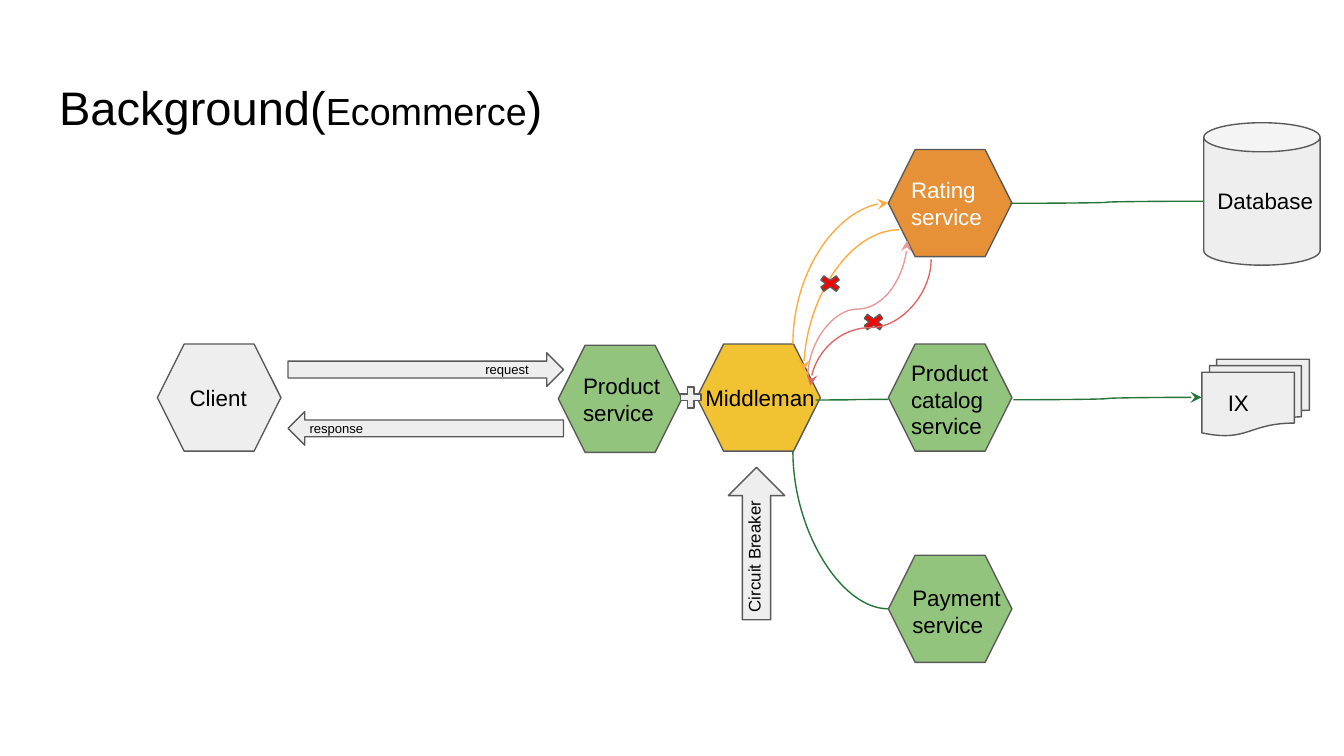
from lxml import etree
from pptx import Presentation
from pptx.dml.color import RGBColor
from pptx.enum.shapes import MSO_CONNECTOR, MSO_SHAPE
from pptx.enum.text import MSO_ANCHOR, MSO_AUTO_SIZE, PP_ALIGN
from pptx.oxml.ns import qn
from pptx.util import Pt

HEXAGON, CAN = MSO_SHAPE.HEXAGON, MSO_SHAPE.CAN
DOCUMENTS = MSO_SHAPE.FLOWCHART_MULTIDOCUMENT
RIGHT, LEFT, UP = MSO_SHAPE.RIGHT_ARROW, MSO_SHAPE.LEFT_ARROW, MSO_SHAPE.UP_ARROW
CROSS, PLUS = MSO_SHAPE.MATH_MULTIPLY, MSO_SHAPE.MATH_PLUS
CURVE = MSO_CONNECTOR.CURVE
TOP, MIDDLE = MSO_ANCHOR.TOP, MSO_ANCHOR.MIDDLE

# Content and palette
BLACK, WHITE, GRAY, OUTLINE = "000000", "FFFFFF", "EEEEEE", "595959"
GREEN, YELLOW, ORANGE, RED = "93C47D", "F1C232", "E69138", "FF0000"
LINK, RETRY, FAILED_CALL, FAILED_REPLY = "267438", "FFAB40", "EA9999", "E06666"
INSET = 7.2
HEX_SIZE = (66.2, 57.4)
ARROW_SIZE = (147.6, 18)
CROSS_SIZE = (15.8, 11.5)

TITLE = [("Background(", 25.2), ("Ecommerce", 20.2), (")", 25.2)]

# Left, top, fill
SERVICES = [
    (84.3, 184.3, GRAY), (299.1, 185, GREEN), (373.3, 184.3, YELLOW),
    (475.9, 80.1, ORANGE), (475.9, 184.3, GREEN), (475.9, 297.5, GREEN),
]
# Kind, left, top, size, text, text size, left inset
STORES_AND_ARROWS = [
    (CAN, 644.9, 65.8, (62.3, 76.3), "", 12, INSET),
    (DOCUMENTS, 643.9, 192.5, (57.6, 41), "IX", 12, INSET + 6.7),
    (RIGHT, 154.3, 189, ARROW_SIZE, "", 7, INSET),
    (LEFT, 154.3, 220.5, ARROW_SIZE, "response", 7, INSET),
    (UP, 390.2, 250.4, (30.2, 81.6), "", 9, INSET),
]
# Text, left, top, width, height, text size, colour, rotation
LABELS = [
    ("Client", 94.5, 198.7, 53.3, 28.8, 12, BLACK, 0),
    ("request", 253, 186.5, 41, 23, 7, BLACK, 0),
    ("Middleman", 370.8, 198.7, 79.2, 28.8, 12, BLACK, 0),
    ("Product service", 305.3, 192.2, 57.6, 43.9, 12, BLACK, 0),
    ("Rating\nservice", 481, 87.1, 79.2, 43.9, 12, WHITE, 0),
    ("Product catalog\nservice", 481, 185, 57.6, 58.3, 12, BLACK, 0),
    ("Payment service", 481.7, 305.8, 79.2, 43.9, 12, BLACK, 0),
    ("Database", 645.1, 92.9, 74.9, 28.8, 12, BLACK, 0),
    ("Circuit Breaker", 349.8, 268.4, 108, 25.2, 9, BLACK, 270),
]
# Start, end, colour, arrowhead end
ARCS = [
    ((475.9, 108.7), (424.8, 184.3), RETRY, "headEnd"),
    ((475.9, 326.2), (424.8, 241.9), LINK, None),
    ((481.7, 123.1), (430.6, 198.7), RETRY, "tailEnd"),
]
LINKS = [
    ((437, 214.3), (475.9, 214), LINK, None),
    ((542.9, 214.2), (643.7, 212.9), LINK, "tailEnd"),
    ((645.1, 107.8), (541.4, 108.9), LINK, None),
]
# As above, then the bend position in thousandths of a percent
FAILURES = [
    ((486, 128.9), (432.7, 202.3), FAILED_CALL, "headEnd", 50000),
    ((498.8, 139), (434.2, 206.6), FAILED_REPLY, "tailEnd", 54000),
]
CROSSES = [(436.8, 146.2), (460.1, 166.8)]


def rgb(value):
    return RGBColor.from_string(value)


def set_text(shape, text, size, color=BLACK, anchor=TOP, left_inset=INSET):
    frame = shape.text_frame
    frame.text = text
    frame.word_wrap = True
    frame.auto_size = MSO_AUTO_SIZE.NONE
    frame.vertical_anchor = anchor
    frame.margin_left = Pt(left_inset)
    frame.margin_top = frame.margin_right = frame.margin_bottom = Pt(INSET)
    for paragraph in frame.paragraphs:
        paragraph.alignment = PP_ALIGN.LEFT
        for run in paragraph.runs:
            format_run(run, size, color)


def format_run(run, size, color=BLACK):
    run.font.name = "Arial"
    run.font.size = Pt(size)
    run.font.color.rgb = rgb(color)


def add_shape(kind, left, top, size, fill):
    shape = slide.shapes.add_shape(kind, Pt(left), Pt(top), Pt(size[0]), Pt(size[1]))
    shape.shadow.inherit = False
    shape.fill.solid()
    shape.fill.fore_color.rgb = rgb(fill)
    shape.line.color.rgb = rgb(OUTLINE)
    shape.line.width = Pt(0.75)
    return shape


def add_curve(start, end, color, arrow):
    connector = slide.shapes.add_connector(CURVE, *map(Pt, start + end))
    connector.line.color.rgb = rgb(color)
    connector.line.width = Pt(0.75)
    properties = connector.element.spPr
    if arrow:
        line = properties.find(qn("a:ln"))
        etree.SubElement(line, qn(f"a:{arrow}"), type="stealth")
    etree.SubElement(properties, qn("a:effectLst"))
    return connector


def add_arc(start, end, color, arrow):
    """Quarter curve that leaves horizontally and arrives vertically."""
    connector = add_curve(start, end, color, arrow)
    connector.element.spPr.find(qn("a:prstGeom")).set("prst", "curvedConnector2")


def add_vertical_curve(start, end, color, arrow, bend):
    """S-curve down to the left: a horizontal one turned about its centre."""
    center_x, center_y = (start[0] + end[0]) / 2, (start[1] + end[1]) / 2
    half_width, half_height = (end[1] - start[1]) / 2, (start[0] - end[0]) / 2
    connector = add_curve((center_x - half_width, center_y - half_height),
                          (center_x + half_width, center_y + half_height), color, arrow)
    connector.element.spPr.find(qn("a:xfrm")).set("rot", "5400000")
    adjustments = connector.element.spPr.find(qn("a:prstGeom")).find(qn("a:avLst"))
    etree.SubElement(adjustments, qn("a:gd"), name="adj1", fmla=f"val {bend}")


presentation = Presentation()
presentation.slide_width, presentation.slide_height = Pt(720), Pt(405)
slide = presentation.slides.add_slide(presentation.slide_layouts[5])

# Title
title = slide.shapes.title
title.left, title.top, title.width, title.height = Pt(24.5), Pt(34.8), Pt(671), Pt(45.4)
set_text(title, "", 25.2)
for text, size in TITLE:
    run = title.text_frame.paragraphs[0].add_run()
    run.text = text
    format_run(run, size)

# Services, stores and block arrows
for left, top, fill in SERVICES:
    add_shape(HEXAGON, left, top, HEX_SIZE, fill)
for kind, left, top, size, text, text_size, inset in STORES_AND_ARROWS:
    shape = add_shape(kind, left, top, size, GRAY)
    if text:
        set_text(shape, text, text_size, anchor=MIDDLE, left_inset=inset)

# Connections and failure marks
for arc in ARCS:
    add_arc(*arc)
for link in LINKS:
    add_curve(*link)
for left, top in CROSSES:
    add_shape(CROSS, left, top, CROSS_SIZE, RED)
for failure in FAILURES:
    add_vertical_curve(*failure)
add_shape(PLUS, 362.4, 205.4, (15.1, 15.1), GRAY)

# Labels
for text, left, top, width, height, size, color, rotation in LABELS:
    label = slide.shapes.add_textbox(Pt(left), Pt(top), Pt(width), Pt(height))
    label.rotation = rotation
    set_text(label, text, size, color)

presentation.save("out.pptx")
